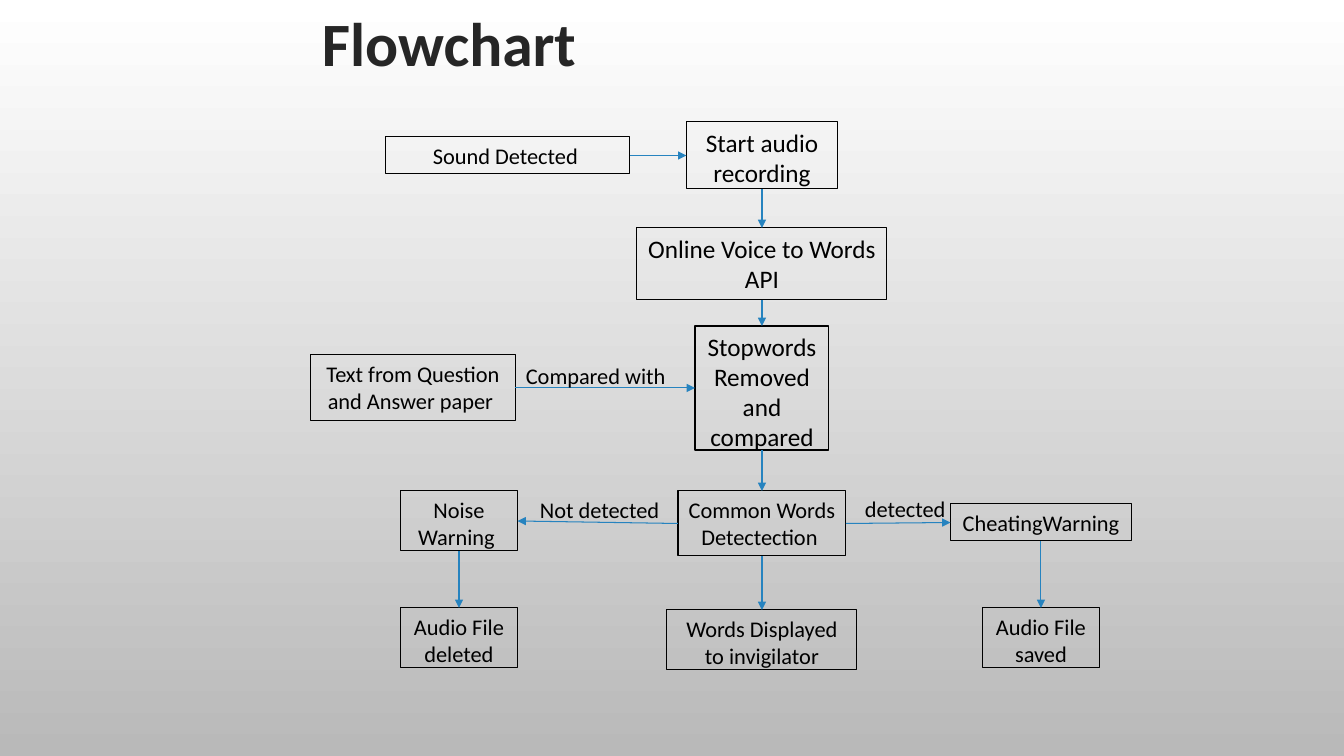
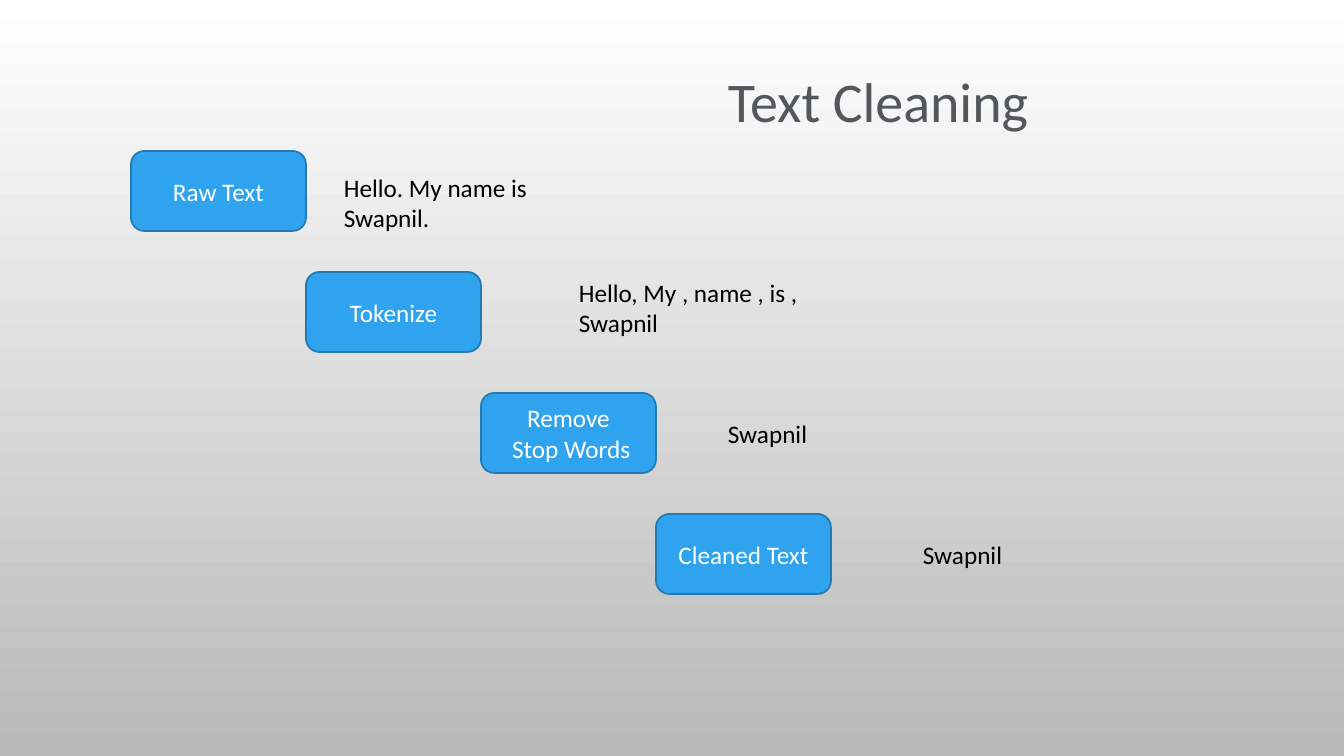
from lxml import etree
from pptx import Presentation
from pptx.dml.color import RGBColor
from pptx.enum.shapes import MSO_CONNECTOR, MSO_SHAPE
from pptx.enum.text import MSO_ANCHOR, PP_ALIGN
from pptx.oxml.ns import qn
from pptx.util import Pt

RECT, ROUND = MSO_SHAPE.RECTANGLE, MSO_SHAPE.ROUNDED_RECTANGLE
STRAIGHT = MSO_CONNECTOR.STRAIGHT
TOP, MIDDLE = MSO_ANCHOR.TOP, MSO_ANCHOR.MIDDLE
LEFT, CENTER = PP_ALIGN.LEFT, PP_ALIGN.CENTER

FONT = "Calibri"
COLORS = {
    "light": "FFFFFF", "dark": "B9B9B9", "ink": "000000", "head": "262626",
    "soft": "53575C", "arrow": "2683BF", "step": "2FA3EE", "edge": "2379B0",
}

# Flowchart: name -> text, centre x, top, width, height, text size
WEST, SPINE, EAST = 459, 762, 1041
BOXES = {
    "sound": ("Sound Detected ", 508, 137, 244, 37, 16),
    "speech": ("Online Voice to Words API", SPINE, 228, 250, 72, 18),
    "start": ("Start audio recording", SPINE, 122, 151, 67, 18),
    "stop": ("Stopwords Removed and compared", SPINE, 326, 134, 124, 18),
    "paper": ("Text from Question and Answer paper ", 413, 355, 205, 66, 16),
    "common": ("Common Words Detectection ", SPINE, 491, 168, 65, 16),
    "noise": ("Noise Warning ", WEST, 491, 117, 60, 16),
    "cheat": ("CheatingWarning ", EAST, 504, 181, 37, 16),
    "delete": ("Audio File deleted", WEST, 608, 117, 60, 16),
    "save": ("Audio File saved", EAST, 608, 117, 60, 16),
    "show": ("Words Displayed to invigilator", SPINE, 610, 190, 60, 16),
}
# Connection sites of a rectangle, as (leaving, entering)
DOWN, RIGHT, BACK = (2, 0), (3, 1), (1, 3)
LINKS = [
    ("sound", "start", RIGHT), ("start", "speech", DOWN),
    ("speech", "stop", DOWN), ("paper", "stop", RIGHT),
    ("stop", "common", DOWN), ("common", "noise", BACK),
    ("common", "cheat", RIGHT), ("common", "show", DOWN),
    ("noise", "delete", DOWN), ("cheat", "save", DOWN),
]
# Text, then left, top, width, height
LABELS = [
    ("Compared with", (516, 357, 227, 23)),
    ("detected", (855, 490, 122, 35)),
    ("Not detected", (530, 491, 153, 37)),
]

# Text cleaning: step, result, place of the result
STEPS = [
    ("Raw Text", "Hello. My name is Swapnil.", (334, 167, 292, 40)),
    ("Tokenize", "Hello, My , name , is , Swapnil", (569, 272, 242, 72)),
    ("Remove\n Stop Words", "Swapnil", (718, 413, 114, 40)),
    ("Cleaned Text", "Swapnil", (913, 534, 163, 40)),
]
STEP_X, STEP_Y, STEP_W, STEP_H, STEP_DY = 131, 151, 175, 80, 121


def px(*sizes):
    return [round(size * 914400 / 100.8) for size in sizes]


def rgb(name):
    return RGBColor.from_string(COLORS[name])


def write(shape, text, size, color, align, anchor=TOP, bold=False, wrap=True):
    frame = shape.text_frame
    frame.text = text
    frame.word_wrap = wrap
    frame.vertical_anchor = anchor
    for para in frame.paragraphs:
        para.alignment = align
        for run in para.runs:
            font = run.font
            font.name, font.size, font.bold = FONT, Pt(size), bold
            font.color.rgb = rgb(color)


def label(slide, text, place, size, color="ink", align=LEFT, **style):
    box = slide.shapes.add_textbox(*px(*place))
    write(box, text, size, color, align, **style)


def block(slide, kind, place, line, width, fill=None):
    shape = slide.shapes.add_shape(kind, *px(*place))
    shape.shadow.inherit = False
    if fill:
        shape.fill.solid()
        shape.fill.fore_color.rgb = rgb(fill)
    else:
        shape.fill.background()
    shape.line.color.rgb = rgb(line)
    shape.line.width = Pt(width)
    return shape


def arrow(slide, source, target, sites):
    link = slide.shapes.add_connector(STRAIGHT, 0, 0, 0, 0)
    link.begin_connect(source, sites[0])
    link.end_connect(target, sites[1])
    link.line.color.rgb = rgb("arrow")
    link.line.width = Pt(0.75)
    props = link.element.spPr
    etree.SubElement(props.find(qn("a:ln")), qn("a:tailEnd"), type="triangle")
    etree.SubElement(props, qn("a:effectLst"))


def add_slide(deck):
    slide = deck.slides.add_slide(deck.slide_layouts[6])
    fill = slide.background.fill
    fill.gradient()
    fill.gradient_angle = 270
    for stop, place, name in zip(fill.gradient_stops, (0, 1), ("light", "dark")):
        stop.position = place
        stop.color.rgb = rgb(name)
    return slide


deck = Presentation()
deck.slide_width, deck.slide_height = px(1344, 756)

# Flowchart
slide = add_slide(deck)
nodes = {}
for name, (text, mid, top, wide, high, size) in BOXES.items():
    place = (mid - wide / 2, top, wide, high)
    nodes[name] = block(slide, RECT, place, "ink", 0.75)
    write(nodes[name], text, size, "ink", CENTER)
for source, target, sites in LINKS:
    arrow(slide, nodes[source], nodes[target], sites)
for text, place in LABELS:
    label(slide, text, place, 16)
label(slide, "Flowchart", (311, 0, 276, 85), 44, "head", CENTER,
      bold=True, wrap=False)

# Text cleaning
slide = add_slide(deck)
for i, (step, result, place) in enumerate(STEPS):
    spot = (STEP_X + i * STEP_W, STEP_Y + i * STEP_DY, STEP_W, STEP_H)
    shape = block(slide, ROUND, spot, "edge", 1.25, "step")
    write(shape, step, 18, "light", CENTER, MIDDLE)
    label(slide, result, place, 18)
label(slide, "Text Cleaning ", (718, 62, 341, 78), 40, "soft", wrap=False)

deck.save("out.pptx")
